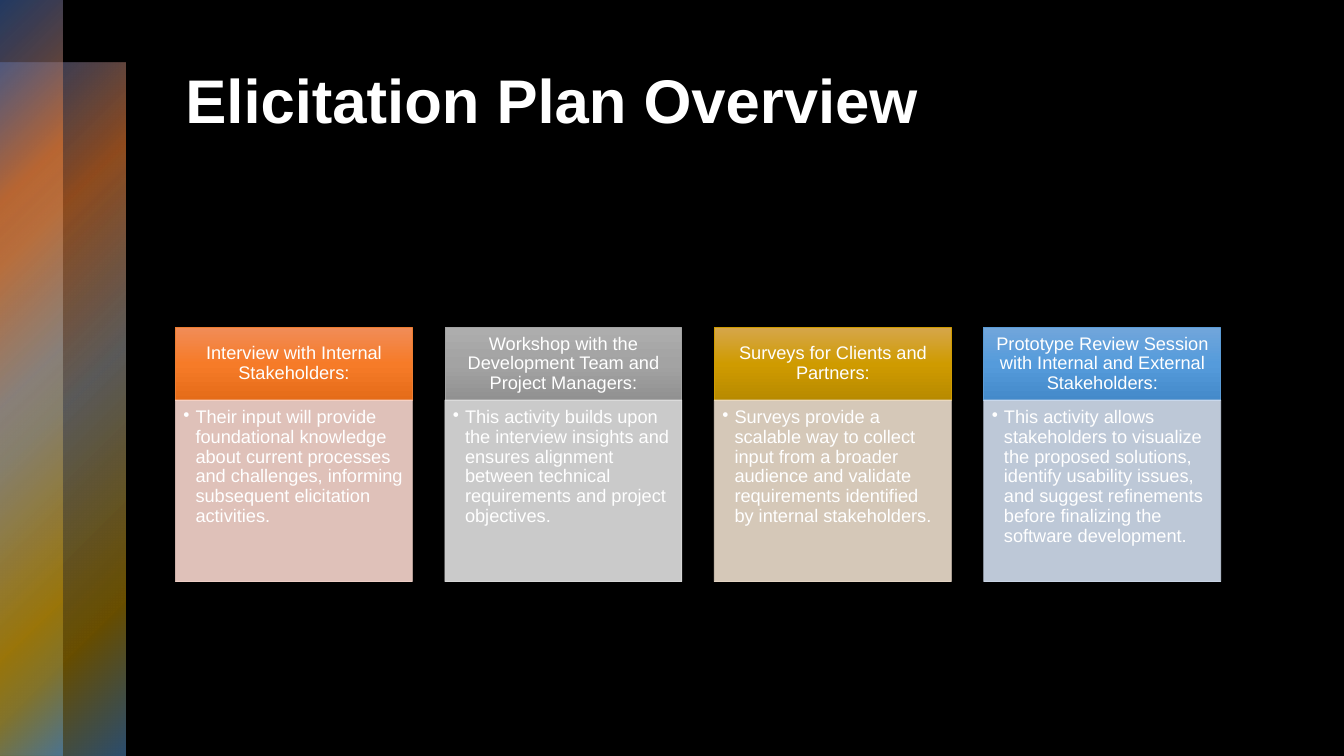
from dataclasses import dataclass

from pptx import Presentation
from pptx.dml.color import RGBColor
from pptx.enum.shapes import MSO_SHAPE
from pptx.enum.text import MSO_ANCHOR, MSO_AUTO_SIZE, PP_ALIGN
from pptx.oxml import parse_xml
from pptx.oxml.ns import nsdecls, qn
from pptx.util import Inches, Pt

RECTANGLE = MSO_SHAPE.RECTANGLE
TOP, MIDDLE = MSO_ANCHOR.TOP, MSO_ANCHOR.MIDDLE
LEFT, CENTER = PP_ALIGN.LEFT, PP_ALIGN.CENTER
NO_FIT = MSO_AUTO_SIZE.NONE
TITLE_ONLY = 5


@dataclass(frozen=True)
class Theme:
    font: str = "Arial"
    background: str = "000000"
    text: str = "FFFFFF"
    title_size: int = 44
    card_size: int = 13
    outline: float = 0.5
    body_opacity: int = 90
    band_stops: tuple = (
        (0, "4472C4", 50), (25, "ED7D31", 60), (50, "A3A3A3", 55),
        (81, "CF9B00", 50), (99, "5B9BD5", 50),
    )


TITLE_FRAME = {
    "vertical_anchor": TOP, "word_wrap": True, "auto_size": NO_FIT,
    "margin_left": Inches(0.1), "margin_top": Inches(0.11),
}
HEADER_FRAME = {
    "vertical_anchor": MIDDLE, "word_wrap": True,
    "margin_left": Inches(0.1), "margin_top": Inches(0.06),
    "margin_right": Inches(0.1), "margin_bottom": Inches(0.06),
}
BODY_FRAME = {
    "vertical_anchor": TOP, "word_wrap": True,
    "margin_left": Inches(0.08), "margin_top": Inches(0.08),
    "margin_right": Inches(0.1), "margin_bottom": Inches(0.11),
}

BANDS = ((0, 8.27, 9.3, 91.73), (0, 0, 4.65, 100))
TITLE_BOX = (13.05, 6.67, 77.79, 22.67)
CARD_LEFT, CARD_PITCH, CARD_WIDTH = 13.05, 20.05, 17.63
CARD_TOP, HEADER_HEIGHT, BODY_HEIGHT = 43.33, 9.6, 24

ACTIVITIES = (
    ("Interview with Internal Stakeholders:",
     "Their input will provide foundational knowledge about current processes "
     "and challenges, informing subsequent elicitation activities.",
     ("F18C57", "F67B28", "E56C19"), "ED7D31", "F8D7CE"),
    ("Workshop with the Development Team and Project Managers:",
     "This activity builds upon the interview insights and ensures alignment "
     "between technical requirements and project objectives.",
     ("ADADAD", "A3A3A3", "919191"), "A3A3A3", "E0E0E0"),
    ("Surveys for Clients and Partners:",
     "Surveys provide a scalable way to collect input from a broader audience "
     "and validate requirements identified by internal stakeholders.",
     ("D6A64B", "CF9B00", "B88A00"), "CF9B00", "EDDECC"),
    ("Prototype Review Session with Internal and External Stakeholders:",
     "This activity allows stakeholders to visualize the proposed solutions, "
     "identify usability issues, and suggest refinements before finalizing the "
     "software development.",
     ("71A6DB", "559BDB", "448ACA"), "5B9BD5", "D2DEEF"),
)


def set_format(target, values):
    for name, value in values.items():
        setattr(target, name, value)


class SlideBuilder:
    def __init__(self, deck, theme):
        self.deck, self.theme = deck, theme
        self.slide = deck.slides.add_slide(deck.slide_layouts[TITLE_ONLY])
        backdrop = self.slide.background.fill
        backdrop.solid()
        backdrop.fore_color.rgb = RGBColor.from_string(theme.background)

    def place(self, box):
        width, height = self.deck.slide_width, self.deck.slide_height
        return [round(share * full / 100)
                for share, full in zip(box, (width, height, width, height))]

    def wording(self, frame, words, size, align, frame_format, spacing=1.0, bold=False):
        set_format(frame, frame_format)
        paragraph = frame.paragraphs[0]
        set_format(paragraph, {"alignment": align, "line_spacing": spacing})
        run = paragraph.add_run()
        run.text = words
        set_format(run.font, {"name": self.theme.font, "size": Pt(size), "bold": bold})
        run.font.color.rgb = RGBColor.from_string(self.theme.text)
        return paragraph

    def title(self, words):
        heading = self.slide.shapes.title
        set_format(heading, dict(zip(("left", "top", "width", "height"),
                                     self.place(TITLE_BOX))))
        self.wording(heading.text_frame, words, self.theme.title_size, LEFT,
                     TITLE_FRAME, bold=True)

    def panel(self, box, outline=None):
        panel = self.slide.shapes.add_shape(RECTANGLE, *self.place(box))
        panel.shadow.inherit = False
        if outline:
            panel.line.color.rgb = RGBColor.from_string(outline)
            panel.line.width = Pt(self.theme.outline)
        else:
            panel.line.fill.background()
        return panel

    def gradient(self, panel, stops, direction):
        panel.fill.gradient()
        blank = panel._element.spPr.find(qn("a:gradFill"))
        colours = "".join(
            f'<a:gs pos="{position * 1000}"><a:srgbClr val="{colour}">'
            f'<a:alpha val="{opacity * 1000}"/></a:srgbClr></a:gs>'
            for position, colour, opacity in stops)
        blank.getparent().replace(blank, parse_xml(
            f'<a:gradFill {nsdecls("a")} rotWithShape="1">'
            f'<a:gsLst>{colours}</a:gsLst>{direction}</a:gradFill>'))

    def band(self, box):
        self.gradient(self.panel(box), self.theme.band_stops,
                      '<a:path path="circle"><a:fillToRect r="100000" b="100000"/></a:path>')

    def header(self, box, words, shades, outline):
        header = self.panel(box, outline)
        stops = [(50 * step, shade, 100) for step, shade in enumerate(shades)]
        self.gradient(header, stops, '<a:lin ang="5400000" scaled="0"/>')
        self.wording(header.text_frame, words, self.theme.card_size, CENTER,
                     HEADER_FRAME, 0.9)

    def body(self, box, words, tint):
        body = self.panel(box, tint)
        body.fill.solid()
        body.fill.fore_color.rgb = RGBColor.from_string(tint)
        for colour in body._element.spPr.iter(qn("a:srgbClr")):
            colour.append(parse_xml(
                f'<a:alpha {nsdecls("a")} val="{self.theme.body_opacity * 1000}"/>'))
        paragraph = self.wording(body.text_frame, words, self.theme.card_size, LEFT,
                                 BODY_FRAME, 0.9)
        properties = paragraph._p.get_or_add_pPr()
        properties.set("marL", str(Inches(0.12)))
        properties.set("indent", str(-Inches(0.12)))
        properties.append(parse_xml(f'<a:buChar {nsdecls("a")} char="•"/>'))


def main():
    deck = Presentation()
    deck.slide_width, deck.slide_height = Inches(13.33), Inches(7.5)
    overview = SlideBuilder(deck, Theme())
    for band in BANDS:
        overview.band(band)
    overview.title("Elicitation Plan Overview")
    for column, (activity, purpose, shades, outline, tint) in enumerate(ACTIVITIES):
        left = CARD_LEFT + column * CARD_PITCH
        overview.header((left, CARD_TOP, CARD_WIDTH, HEADER_HEIGHT),
                        activity, shades, outline)
        overview.body((left, CARD_TOP + HEADER_HEIGHT, CARD_WIDTH, BODY_HEIGHT),
                      purpose, tint)
    deck.save("out.pptx")


if __name__ == "__main__":
    main()
